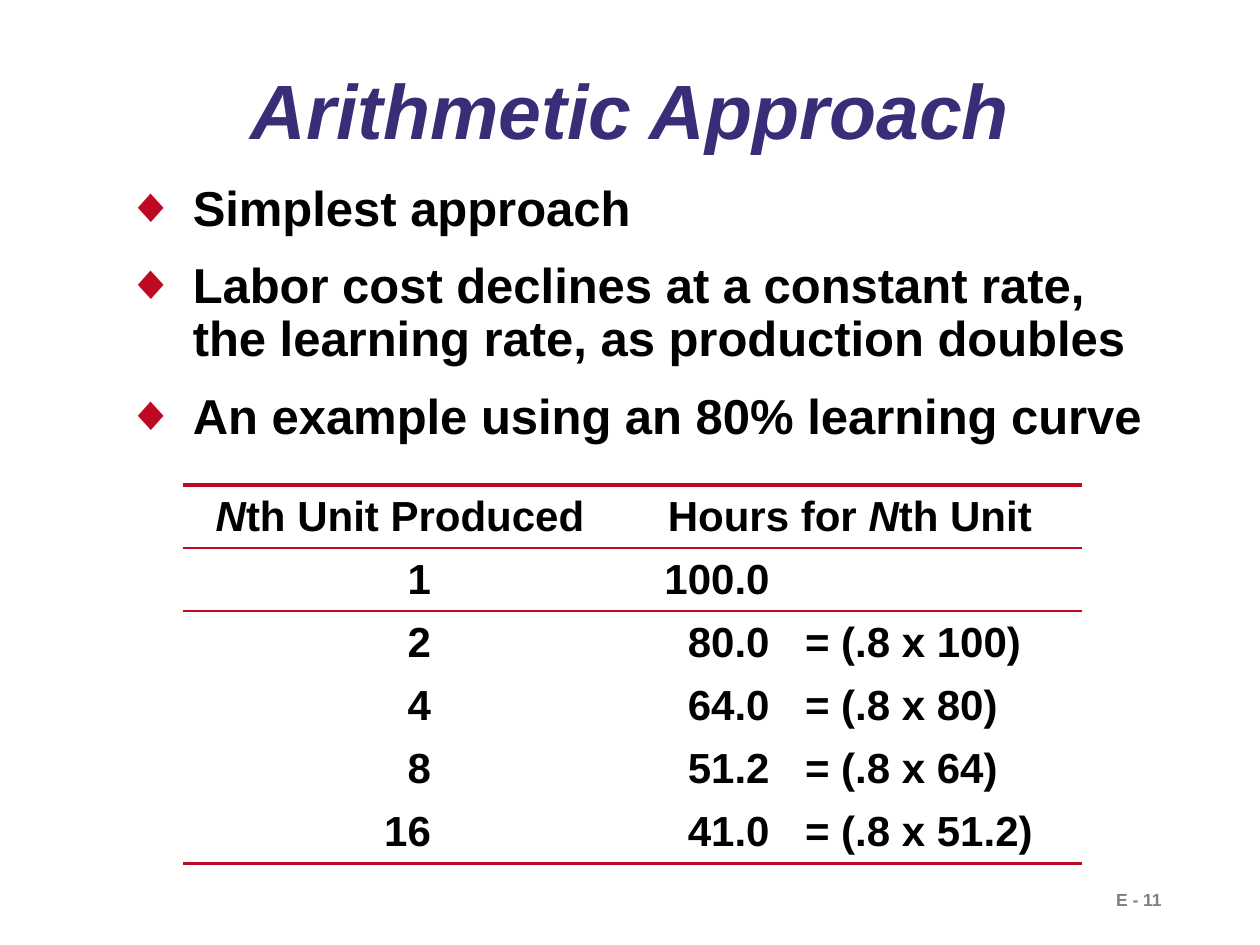
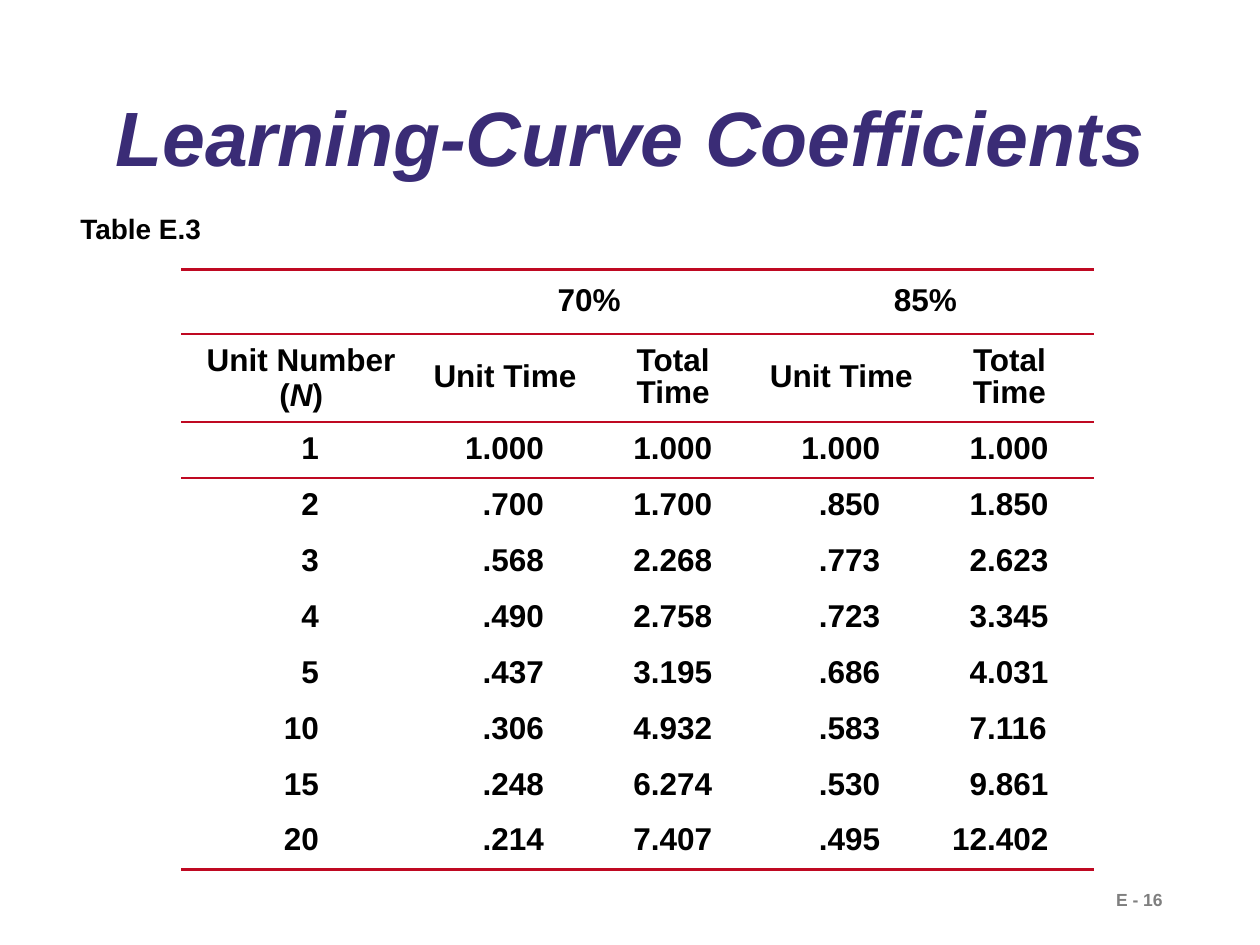
from lxml import etree
from pptx import Presentation
from pptx.dml.color import RGBColor
from pptx.enum.text import MSO_ANCHOR, MSO_AUTO_SIZE, PP_ALIGN
from pptx.oxml.ns import qn
from pptx.util import Inches, Pt

LEFT, CENTER = PP_ALIGN.LEFT, PP_ALIGN.CENTER
MIDDLE, TOP = MSO_ANCHOR.MIDDLE, MSO_ANCHOR.TOP
FIXED = MSO_AUTO_SIZE.NONE

COLS, ROWS = 100, 75
UNIT = Inches(0.1)
FONT = "Arial"
INK, TITLE, RULE, GRAY = "000000", "3A2C76", "BF0922", "7F7F7F"
THICK, THIN = 2.21, 1.08
PLAIN = "{2D5ABB26-0587-4C30-8999-92F81FD0307C}"

POINTS = [
    "Simplest approach",
    "Labor cost declines at a constant rate, the learning rate, as production doubles",
    "An example using an 80% learning curve",
]
HOURS = [
    ["*N*th Unit Produced", "Hours for *N*th Unit", ""],
    ["1", "100.0", ""],
    ["2", "80.0", "= (.8 x 100)"],
    ["4", "64.0", "= (.8 x 80)"],
    ["8", "51.2", "= (.8 x 64)"],
    ["16", "41.0", "= (.8 x 51.2)"],
]
TIMES = [
    ["", "70%", "", "85%", ""],
    ["Unit Number (*N*)"] + ["Unit Time", "Total Time"] * 2,
    ["1", "1.000", "1.000", "1.000", "1.000"],
    ["2", ".700", "1.700", ".850", "1.850"],
    ["3", ".568", "2.268", ".773", "2.623"],
    ["4", ".490", "2.758", ".723", "3.345"],
    ["5", ".437", "3.195", ".686", "4.031"],
    ["10", ".306", "4.932", ".583", "7.116"],
    ["15", ".248", "6.274", ".530", "9.861"],
    ["20", ".214", "7.407", ".495", "12.402"],
]


def span(count):
    return int(count * UNIT)


def paint(color, value):
    color.rgb = RGBColor.from_string(value)


def style(para, size, color=INK, italic=False, align=LEFT, line=1.0, after=0):
    para.alignment = align
    para.line_spacing = line
    para.space_before = Pt(0)
    para.space_after = Pt(after)
    for run in para.runs:
        font = run.font
        font.name, font.size, font.bold = FONT, Pt(size), True
        font.italic = italic
        paint(font.color, color)


def place(shape, left, top, width, height):
    shape.left, shape.top = span(left), span(top)
    shape.width, shape.height = span(width), span(height)


def add_title(slide, text, top):
    title = slide.shapes.title
    place(title, 5.8, top, 88.5, 10.4)
    frame = title.text_frame
    frame.text = text
    frame.auto_size, frame.vertical_anchor = FIXED, MIDDLE
    style(frame.paragraphs[0], 44, TITLE, True, CENTER, 0.9)


def add_label(slide, text, box, size, color=INK):
    label = slide.shapes.add_textbox(*map(span, box))
    frame = label.text_frame
    frame.word_wrap = False
    frame.text = text
    style(frame.paragraphs[0], size, color)


def add_bullet(para):
    props = para._p.get_or_add_pPr()
    props.set("marL", str(span(5.3)))
    props.set("indent", str(-span(5.3)))
    tint = etree.SubElement(props, qn("a:buClr"))
    etree.SubElement(tint, qn("a:srgbClr"), val=RULE)
    etree.SubElement(props, qn("a:buChar"), char="◆")


def add_list(slide, points):
    body = slide.placeholders[1]
    place(body, 9, 14.1, 84.6, 21.7)
    frame = body.text_frame
    frame.text = "\n".join(points)
    frame.auto_size, frame.vertical_anchor = FIXED, TOP
    for para in frame.paragraphs:
        style(para, 28, line=0.9, after=14)
        add_bullet(para)


def add_tab(para, stop):
    place_at, kind = stop
    tabs = etree.SubElement(para._p.get_or_add_pPr(), qn("a:tabLst"))
    etree.SubElement(tabs, qn("a:tab"), pos=str(span(place_at)), algn=kind)


def add_edge(cell, side, width):
    props = cell._tc.get_or_add_tcPr()
    edge = etree.SubElement(props, qn("a:" + side), w=str(Pt(width)))
    fill = etree.SubElement(edge, qn("a:solidFill"))
    etree.SubElement(fill, qn("a:srgbClr"), val=RULE)


def fill_head(cell, text, size, line, after):
    para = cell.text_frame.paragraphs[0]
    parts = text.split("*")
    for part in parts:
        para.add_run().text = part
    style(para, size, align=CENTER, line=1.0 if len(parts) > 1 else line, after=after)
    for run in para.runs[1::2]:
        run.font.italic = True


def fill_value(cell, text, stop, size, line, after):
    para = cell.text_frame.paragraphs[0]
    para.text = "\t" + text if stop else text
    style(para, size, line=line, after=after)
    if stop:
        add_tab(para, stop)


def add_grid(slide, data, spot, widths, heights, heads, pairs, stops,
             size, line=1.0, after=0):
    frame = slide.shapes.add_table(
        len(data), len(widths), *map(span, spot),
        span(sum(widths)), span(sum(heights)))
    table = frame.table
    table.first_row = table.horz_banding = False
    for tag in frame.element.iter(qn("a:tableStyleId")):
        tag.text = PLAIN
    for col, width in zip(table.columns, widths):
        col.width = span(width)
    for row, height in zip(table.rows, heights):
        row.height = span(height)
    for col in pairs:
        table.cell(0, col).merge(table.cell(0, col + 1))
    last = len(data) - 1
    for r, row in enumerate(data):
        for c, text in enumerate(row):
            cell = table.cell(r, c)
            cell.vertical_anchor = MIDDLE
            if r <= heads:
                add_edge(cell, "lnT", THIN if r else THICK)
            if r < heads or r == last:
                add_edge(cell, "lnB", THICK if r == last else THIN)
            cell.fill.background()
            if text and r < heads:
                fill_head(cell, text, size, line, after)
            elif text:
                fill_value(cell, text, stops[c], size, line, after)


def add_slide(deck, layout, title, top, page):
    slide = deck.slides.add_slide(deck.slide_layouts[layout])
    add_title(slide, title, top)
    add_label(slide, page, (87.6, 70.1, 10.8, 2.7), 10, GRAY)
    return slide


def main():
    deck = Presentation()
    deck.slide_width, deck.slide_height = span(COLS), span(ROWS)

    slide = add_slide(deck, 1, "Arithmetic Approach", 3.9, "E - 11")
    add_list(slide, POINTS)
    add_grid(slide, HOURS, (14.5, 38.5), [34.5, 13.9, 23], [5] * 6,
             heads=1, pairs=[1], stops=[(18.7, "r"), (8.3, "dec"), None], size=24)

    slide = add_slide(deck, 5, "Learning-Curve Coefficients", 6, "E - 16")
    add_label(slide, "Table E.3", (5.4, 16.3, 11.7, 3.7), 16)
    add_grid(slide, TIMES, (14.4, 21.4), [19] + [13.35] * 4,
             [5.1, 7] + [4.44] * 8, heads=2, pairs=[1, 3],
             stops=[(9.9, "r")] + [(3.9, "dec")] * 4, size=18, line=0.9, after=9)

    deck.save("out.pptx")


if __name__ == "__main__":
    main()
